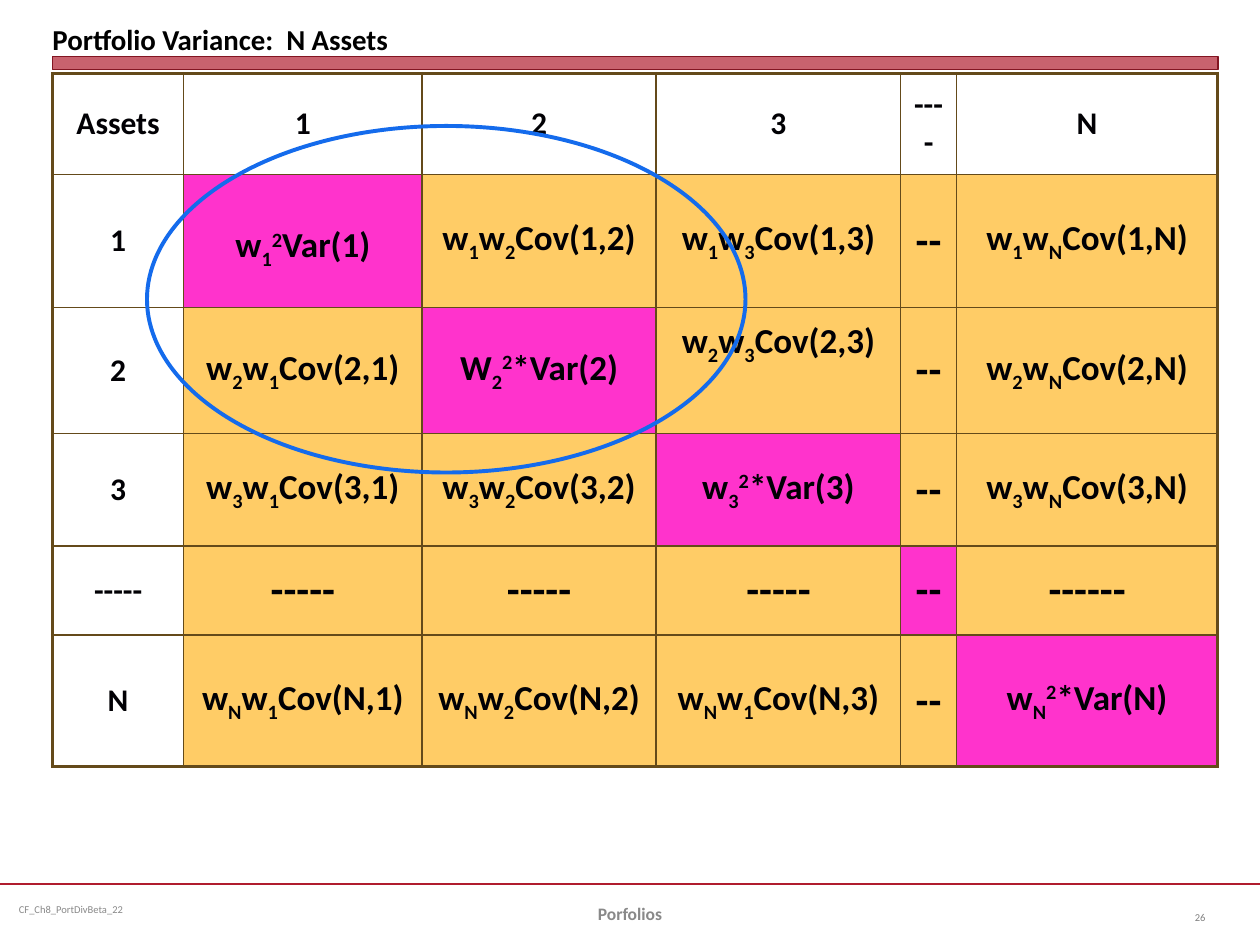
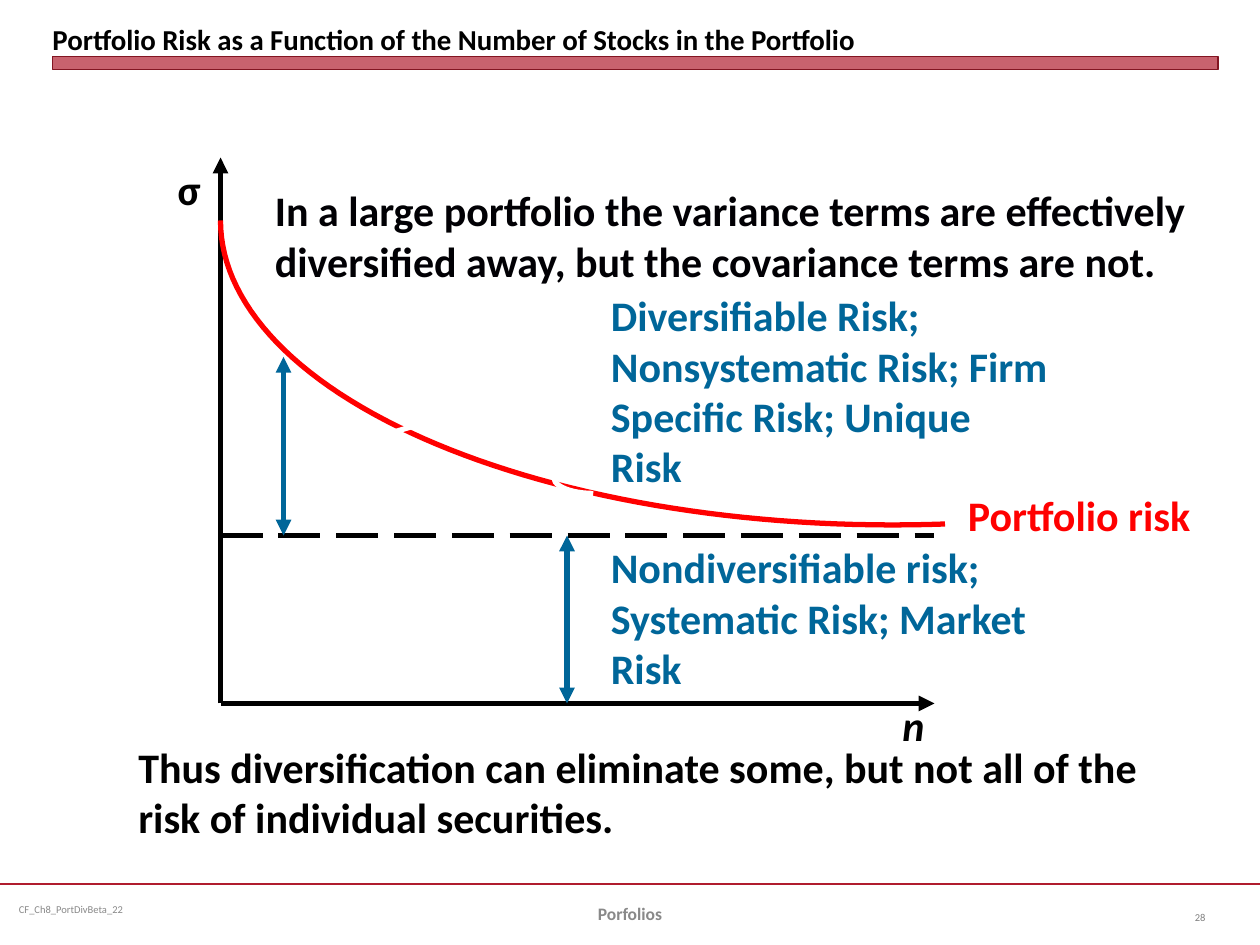
import math
from dataclasses import dataclass

import pptx
import pptx.dml.color
import pptx.enum.dml
import pptx.enum.shapes
import pptx.enum.text
import pptx.oxml
import pptx.oxml.ns
import pptx.util
from lxml import etree

EMU_PER_PX = 7620
FONT = "Calibri"
BLACK, INK, WHITE = "000000", "010004", "FFFFFF"
CRIMSON, BAND_LINE, GREY, PAGE_GREY = "B01C2E", "821522", "898989", "808080"
BROWN, PINK, AMBER, BLUE = "644A1A", "FF33CC", "FFCC66", "146BEC"
RED, TEAL = "FF0000", "006699"

ALIGN = pptx.enum.text.PP_ALIGN
ANCHOR = pptx.enum.text.MSO_ANCHOR
SHAPE = pptx.enum.shapes.MSO_SHAPE

COLUMN_WIDTHS = [125, 227, 223, 233, 53, 249]
ROW_HEIGHTS = [96, 127, 120, 107, 85, 125]
VARIANCE_MATRIX = [
    ["Assets", "1", "2", "3", "----", "N"],
    ["1", "w_1^2Var(1)", "w_1w_2Cov(1,2)", "w_1w_3Cov(1,3)", "--", "w_1w_NCov(1,N)"],
    ["2", "w_2w_1Cov(2,1)", "W_2^2*Var(2)", "w_2w_3Cov(2,3)", "--", "w_2w_NCov(2,N)"],
    ["3", "w_3w_1Cov(3,1)", "w_3w_2Cov(3,2)", "w_3^2*Var(3)", "--", "w_3w_NCov(3,N)"],
    ["-----", "-----", "-----", "-----", "--", "------"],
    ["N", "w_Nw_1Cov(N,1)", "w_Nw_2Cov(N,2)", "w_Nw_1Cov(N,3)", "--", "w_N^2*Var(N)"],
]
BASELINES = {"_": "-25000", "^": "30000"}


@dataclass(frozen=True)
class Box:
    left: int
    top: int
    width: int
    height: int

    def emu(self) -> tuple:
        return px(self.left), px(self.top), px(self.width), px(self.height)


@dataclass(frozen=True)
class Label:
    text: str
    box: Box
    color: str = BLACK
    size: float = 24
    bold: bool = True
    italic: bool = False
    align: ALIGN = ALIGN.LEFT
    anchor: ANCHOR = ANCHOR.TOP
    margins: tuple = (12, 6)


@dataclass(frozen=True)
class Line:
    start: tuple
    end: tuple
    color: str
    width: float = 3
    head: bool = False
    tail: bool = False
    dashed: bool = False


RISK_LINES = [
    Line((210, 670), (210, 150), BLACK, tail=True),
    Line((210, 670), (890, 670), BLACK, tail=True),
    Line((210, 510), (890, 510), BLACK, dashed=True),
]
RISK_SPANS = [
    Line((540, 510), (540, 670), TEAL, head=True, tail=True),
    Line((270, 340), (270, 510), TEAL, head=True, tail=True),
]
BRACE_POINTER = Line((480, 380), (280, 440), WHITE, tail=True)
RISK_LABELS = [
    Label("Nondiversifiable risk; Systematic Risk; Market Risk", Box(570, 510, 420, 157), TEAL),
    Label("Diversifiable Risk; Nonsystematic Risk; Firm Specific Risk; Unique Risk",
          Box(570, 270, 440, 206), TEAL),
    Label("n", Box(820, 660, 100, 60), italic=True, align=ALIGN.CENTER),
    Label("σ", Box(130, 150, 100, 60), align=ALIGN.CENTER),
    Label("In a large portfolio the variance terms are effectively diversified away, "
          "but the covariance terms are not.", Box(250, 170, 950, 109), INK),
    Label("Thus diversification can eliminate some, but not all of the risk of "
          "individual securities.", Box(120, 700, 1030, 109)),
    Label("Portfolio risk", Box(910, 460, 290, 60), RED),
]


def px(n: float) -> int:
    return pptx.util.Emu(round(n * EMU_PER_PX))


def rgb(value: str) -> pptx.dml.color.RGBColor:
    return pptx.dml.color.RGBColor.from_string(value)


def sub(parent, tag: str, **attrs):
    return etree.SubElement(parent, pptx.oxml.ns.qn(tag), **attrs)


def set_font(font, size: float, color: str, bold: bool = False, italic: bool = False) -> None:
    font.name = FONT
    font.size = pptx.util.Pt(size)
    font.bold = bold
    font.italic = italic
    font.color.rgb = rgb(color)


def fill_text(sp, label: Label) -> None:
    sp.left, sp.top, sp.width, sp.height = label.box.emu()
    tf = sp.text_frame
    tf.word_wrap = True
    tf.auto_size = pptx.enum.text.MSO_AUTO_SIZE.NONE
    tf.vertical_anchor = label.anchor
    side, edge = label.margins
    tf.margin_left = tf.margin_right = px(side)
    tf.margin_top = tf.margin_bottom = px(edge)
    p = tf.paragraphs[0]
    p.text = label.text
    p.alignment = label.align
    set_font(p.font, label.size, label.color, label.bold, label.italic)


def add_label(s, label: Label) -> None:
    fill_text(s.shapes.add_textbox(*label.box.emu()), label)


def add_line(s, line: Line) -> None:
    cxn = s.shapes.add_connector(pptx.enum.shapes.MSO_CONNECTOR.STRAIGHT,
                                 *map(px, line.start + line.end))
    cxn.line.color.rgb = rgb(line.color)
    cxn.line.width = pptx.util.Pt(line.width)
    if line.dashed:
        cxn.line.dash_style = pptx.enum.dml.MSO_LINE.LONG_DASH
    ln = cxn.line._get_or_add_ln()
    for tag, wanted in (("a:headEnd", line.head), ("a:tailEnd", line.tail)):
        if wanted:
            sub(ln, tag, type="triangle")
    sub(cxn._element.spPr, "a:effectLst")


def outline(sp, color: str, width: float) -> None:
    sp.shadow.inherit = False
    sp.fill.background()
    sp.line.color.rgb = rgb(color)
    sp.line.width = pptx.util.Pt(width)


def add_outline(s, kind: SHAPE, box: Box, color: str, width: float):
    sp = s.shapes.add_shape(kind, *box.emu())
    outline(sp, color, width)
    return sp


def add_slide(prs, title: str, number: int):
    s = prs.slides.add_slide(prs.slide_layouts[5])
    add_line(s, Line((0, 842), (1200, 842), CRIMSON, 1.25))
    band = add_outline(s, SHAPE.RECTANGLE, Box(50, 54, 1110, 12), BAND_LINE, 0)
    band.fill.solid()
    band.fill.fore_color.rgb = rgb(CRIMSON)
    srgb = band._element.spPr.find(pptx.oxml.ns.qn("a:solidFill"))[0]
    sub(srgb, "a:alpha", val="69000")
    fill_text(s.shapes.title, Label(title, Box(50, 6, 1110, 48), size=16.5,
                                    anchor=ANCHOR.BOTTOM, margins=(0, 0)))
    middle = ANCHOR.MIDDLE
    add_label(s, Label("CF_Ch8_PortDivBeta_22", Box(10, 842, 310, 48), GREY, 6, False,
                       anchor=middle, margins=(8, 5)))
    add_label(s, Label("Porfolios", Box(410, 846, 380, 48), GREY, 10,
                       align=ALIGN.CENTER, anchor=middle))
    add_label(s, Label(str(number), Box(1100, 850, 60, 48), PAGE_GREY, 6, False,
                       align=ALIGN.RIGHT, anchor=middle))
    return s


def write_formula(p, formula: str) -> None:
    plain = ""
    chars = iter(formula)
    for char in chars:
        if char not in BASELINES:
            plain += char
            continue
        if plain:
            p.add_run().text = plain
            plain = ""
        r = p.add_run()
        r.text = next(chars)
        r._r.get_or_add_rPr().set("baseline", BASELINES[char])
    if plain:
        p.add_run().text = plain


def set_borders(cell, outer: dict) -> None:
    tcPr = cell._tc.get_or_add_tcPr()
    for tag, is_outer in outer.items():
        ln = sub(tcPr, tag, w=str(pptx.util.Pt(2.25 if is_outer else 1)))
        sub(sub(ln, "a:solidFill"), "a:srgbClr", val=BROWN)


def add_variance_table(s) -> None:
    rows, cols = len(ROW_HEIGHTS), len(COLUMN_WIDTHS)
    box = Box(50, 70, sum(COLUMN_WIDTHS), sum(ROW_HEIGHTS))
    table = s.shapes.add_table(rows, cols, *box.emu()).table
    table.first_row = table.horz_banding = False
    for column, width in zip(table.columns, COLUMN_WIDTHS):
        column.width = px(width)
    for row, height in zip(table.rows, ROW_HEIGHTS):
        row.height = px(height)
    for i, formulas in enumerate(VARIANCE_MATRIX):
        for j, formula in enumerate(formulas):
            cell = table.cell(i, j)
            heading = i == 0 or j == 0
            set_borders(cell, {"a:lnL": j == 0, "a:lnR": j == cols - 1,
                               "a:lnT": i == 0, "a:lnB": i == rows - 1})
            if heading:
                cell.fill.background()
            else:
                cell.fill.solid()
                cell.fill.fore_color.rgb = rgb(PINK if i == j else AMBER)
            cell.vertical_anchor = ANCHOR.MIDDLE
            p = cell.text_frame.paragraphs[0]
            p.alignment = ALIGN.CENTER
            write_formula(p, formula)
            size = 18 if heading else 24 if formula.startswith("-") else 20
            set_font(p.font, size, INK, bold=True)
    table.cell(1, 1).text_frame.paragraphs[0].line_spacing = 1.3
    table.cell(2, 3).margin_bottom = px(57)


def add_risk_curve(s) -> None:
    steps = 60
    end = math.acos(50 / 640)
    angles = [math.pi + (end - math.pi) * k / steps for k in range(steps + 1)]
    points = [(px(850 + 640 * math.cos(a)), px(210 + 290 * math.sin(a))) for a in angles]
    builder = s.shapes.build_freeform(*points[0])
    builder.add_line_segments(points[1:], close=False)
    outline(builder.convert_to_shape(), RED, 3)


def main() -> None:
    prs = pptx.Presentation()
    prs.slide_width, prs.slide_height = px(1200), px(900)

    s = add_slide(prs, "Portfolio Variance:  N Assets", 26)
    add_variance_table(s)
    add_outline(s, SHAPE.OVAL, Box(140, 120, 570, 330), BLUE, 2.25)

    s = add_slide(prs, "Portfolio Risk as a Function of the Number of Stocks in the Portfolio", 28)
    for line in RISK_LINES:
        add_line(s, line)
    add_risk_curve(s)
    for line in RISK_SPANS:
        add_line(s, line)
    brace = add_outline(s, SHAPE.LEFT_BRACE, Box(490, 290, 75, 180), WHITE, 3)
    brace.adjustments[0] = 0.2
    add_line(s, BRACE_POINTER)
    for label in RISK_LABELS:
        add_label(s, label)

    prs.save("out.pptx")


if __name__ == "__main__":
    main()
